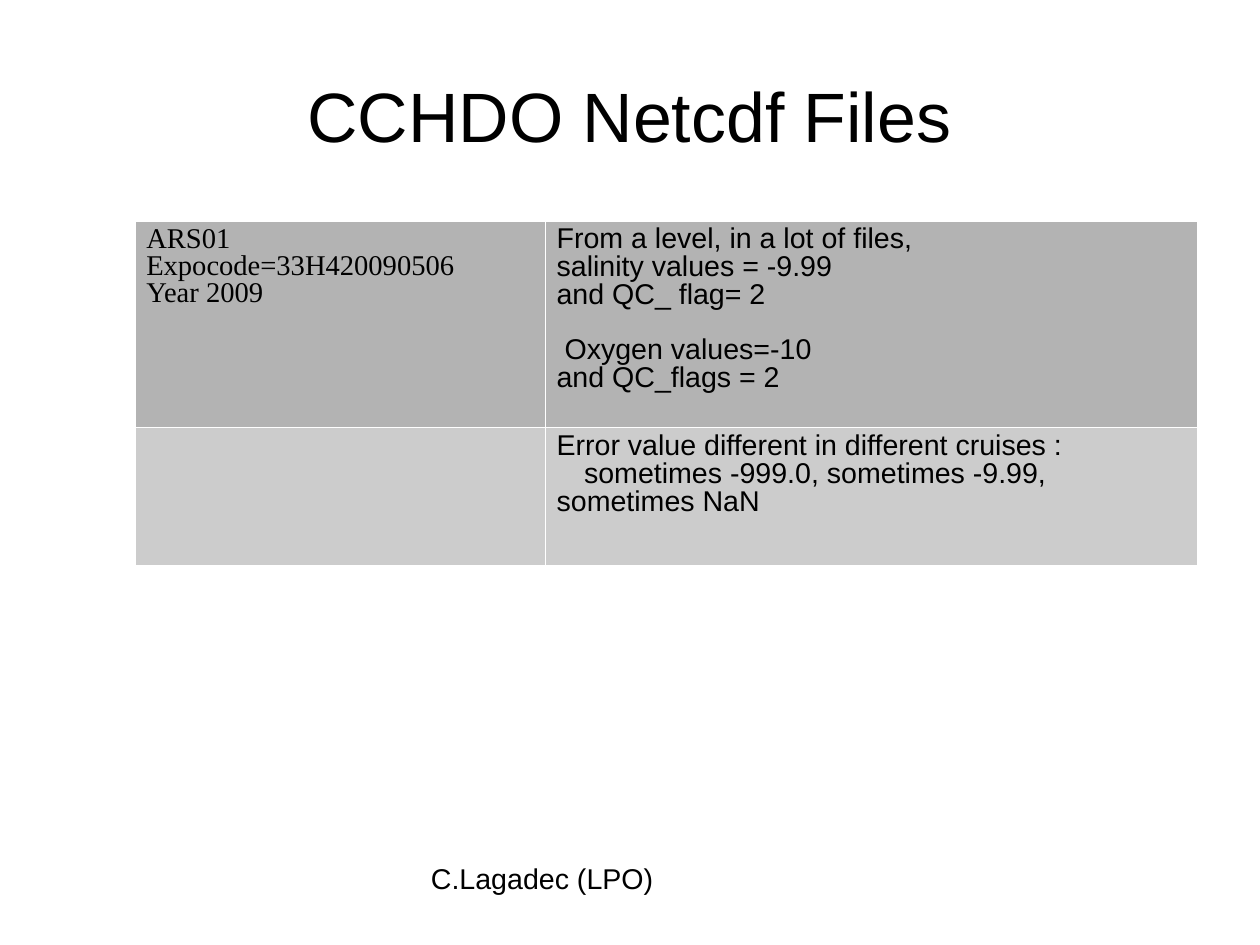
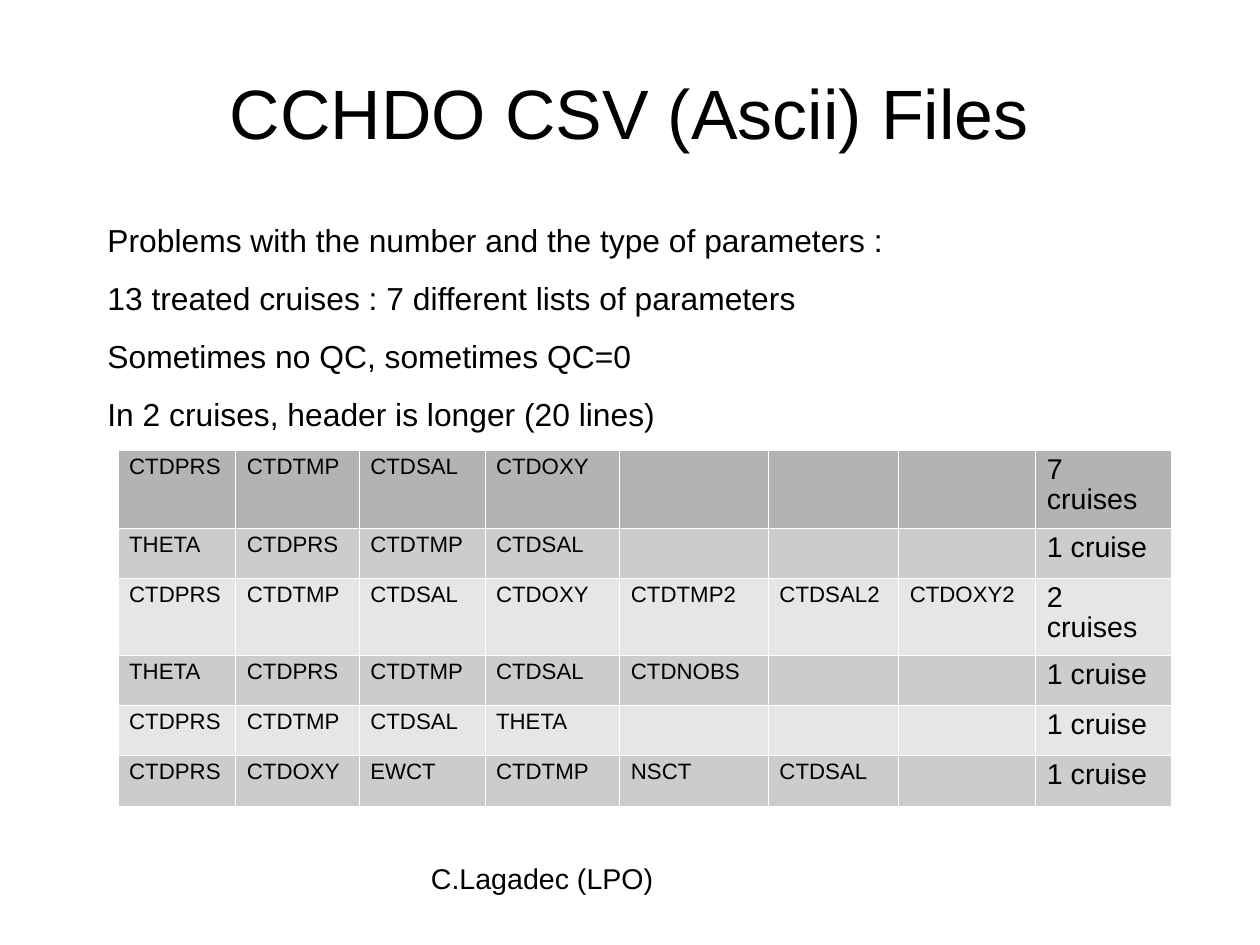
from lxml.etree import SubElement
from pptx import Presentation
from pptx.dml.color import RGBColor
from pptx.enum.text import MSO_ANCHOR, MSO_AUTO_SIZE, PP_ALIGN
from pptx.oxml.ns import qn
from pptx.util import Inches, Pt

BLACK, WHITE = "000000", "FFFFFF"
HEADER, BAND_DARK, BAND_LIGHT = "B3B3B3", "CCCCCC", "E6E6E6"
SANS, SERIF = "Arial", "Times New Roman"
TITLE_BOX = (0.55, 0.33, 9.92, 1.38)
FOOTER_BOX = (3.77, 7.53, 3.49, 0.57)
FINDINGS_BOX = (0.94, 1.93, 9.53, 1.95)

FINDINGS = [
    "Problems with the number and the type of parameters :",
    "13 treated cruises : 7 different lists of parameters",
    "Sometimes no QC, sometimes QC=0",
    "In 2 cruises, header is longer (20 lines)",
]
PARAMETER_LISTS = [
    ("CTDPRS CTDTMP CTDSAL CTDOXY", "7 cruises"),
    ("THETA CTDPRS CTDTMP CTDSAL", "1 cruise"),
    ("CTDPRS CTDTMP CTDSAL CTDOXY CTDTMP2 CTDSAL2 CTDOXY2", "2 cruises"),
    ("THETA CTDPRS CTDTMP CTDSAL CTDNOBS", "1 cruise"),
    ("CTDPRS CTDTMP CTDSAL THETA", "1 cruise"),
    ("CTDPRS CTDOXY EWCT CTDTMP NSCT CTDSAL", "1 cruise"),
]


def color(value):
    return RGBColor.from_string(value)


def write(frame, lines, size, font=SANS, spacing=0.93, after=0, align=PP_ALIGN.LEFT):
    frame.word_wrap = True
    frame.text = "\n".join(lines)
    for paragraph in frame.paragraphs:
        paragraph.alignment = align
        paragraph.line_spacing = spacing
        paragraph.space_before = Pt(0)
        paragraph.space_after = Pt(after)
        for run in paragraph.runs:
            run.font.size = Pt(size)
            run.font.name = font
            run.font.bold = False
            run.font.color.rgb = color(BLACK)


def set_margins(frame, top=0):
    frame.margin_left = frame.margin_right = frame.margin_bottom = 0
    frame.margin_top = Inches(top)


def indent(paragraph, left, first=0):
    properties = paragraph._p.get_or_add_pPr()
    properties.set("marL", str(Inches(left)))
    properties.set("indent", str(Inches(first)))


def add_text(slide, box, lines, size, after=0):
    frame = slide.shapes.add_textbox(*map(Inches, box)).text_frame
    set_margins(frame, 0.03)
    write(frame, lines, size, after=after)


def add_titled_slide(deck, heading, top=0):
    slide = deck.slides.add_slide(deck.slide_layouts[5])
    title = slide.shapes.title
    title.left, title.top, title.width, title.height = map(Inches, TITLE_BOX)
    frame = title.text_frame
    set_margins(frame, top)
    frame.auto_size = MSO_AUTO_SIZE.NONE
    frame.vertical_anchor = MSO_ANCHOR.MIDDLE
    write(frame, [heading], 44, align=PP_ALIGN.CENTER)
    add_text(slide, FOOTER_BOX, ["C.Lagadec (LPO)"], 18)
    return slide


def style_cell(cell, fill):
    properties = cell._tc.get_or_add_tcPr()
    for edge in ("a:lnL", "a:lnR", "a:lnT", "a:lnB"):
        line = SubElement(properties, qn(edge), w=str(Pt(0.06)))
        SubElement(SubElement(line, qn("a:solidFill")), qn("a:srgbClr"), val=WHITE)
    cell.fill.solid()
    cell.fill.fore_color.rgb = color(fill)


def add_banded_table(slide, left, top, widths, heights):
    box = map(Inches, (left, top, sum(widths), sum(heights)))
    table = slide.shapes.add_table(len(heights), len(widths), *box).table
    table.first_row = table.horz_banding = False
    for column, width in zip(table.columns, widths):
        column.width = Inches(width)
    for index, (row, height) in enumerate(zip(table.rows, heights)):
        row.height = Inches(height)
        band = BAND_DARK if index % 2 else BAND_LIGHT
        for cell in row.cells:
            style_cell(cell, band if index else HEADER)
    return table


def add_netcdf_slide(deck):
    slide = add_titled_slide(deck, "CCHDO Netcdf Files", top=0.04)
    table = add_banded_table(slide, 1.18, 1.93, [3.59, 5.7], [1.81, 1.2])
    cruise = ["ARS01\vExpocode=33H420090506", "Year 2009"]
    write(table.cell(0, 0).text_frame, cruise, 18, SERIF, 0.86)

    flags = table.cell(0, 1).text_frame
    write(flags, [
        "From a level, in a lot of files,",
        "salinity values = -9.99",
        "and QC_ flag= 2",
        "Oxygen values=-10",
        "and QC_flags = 2",
    ], 18, spacing=0.87)
    oxygen = flags.paragraphs[3]
    oxygen.space_before = Pt(17.5)
    indent(oxygen, 0.07)

    errors = table.cell(1, 1).text_frame
    write(errors, [
        "Error value different in different cruises : sometimes -999.0, sometimes -9.99,",
        "sometimes NaN",
    ], 18, spacing=0.87)
    for paragraph in errors.paragraphs:
        indent(paragraph, 0.24, -0.24)


def add_csv_slide(deck):
    slide = add_titled_slide(deck, "CCHDO CSV (Ascii) Files")
    add_text(slide, FINDINGS_BOX, FINDINGS, 20, after=14.3)
    widths = [1.03, 1.08, 1.1, 1.18, 1.3, 1.14, 1.2, 1.19]
    heights = [0.68, 0.44, 0.67, 0.44, 0.44, 0.44]
    table = add_banded_table(slide, 1.03, 3.94, widths, heights)
    for row, (parameters, count) in zip(table.rows, PARAMETER_LISTS):
        for cell, parameter in zip(row.cells, parameters.split()):
            write(cell.text_frame, [parameter], 14)
        write(row.cells[len(widths) - 1].text_frame, [count], 18)


def main():
    deck = Presentation()
    deck.slide_width = Inches(28 / 2.54)
    deck.slide_height = Inches(21 / 2.54)
    add_netcdf_slide(deck)
    add_csv_slide(deck)
    deck.save("out.pptx")


if __name__ == "__main__":
    main()
